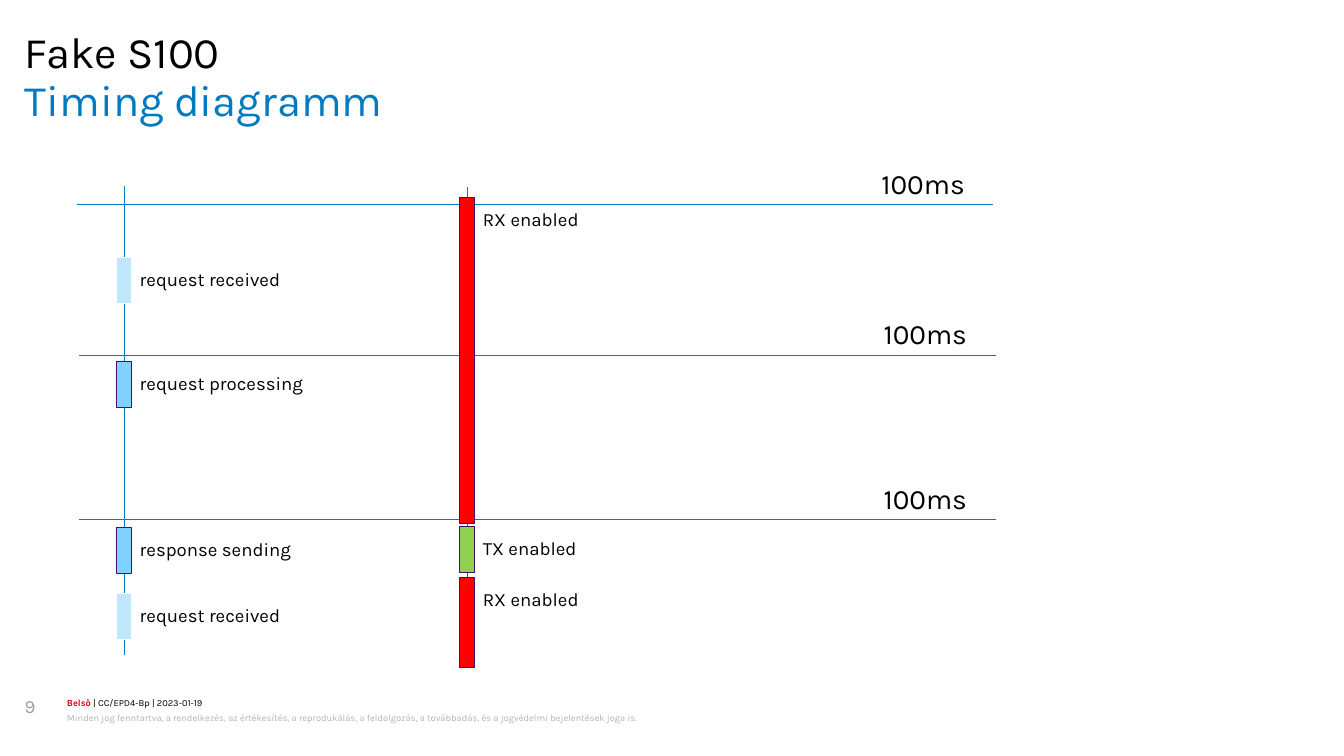
"""Build the slide with the request and RX/TX timing diagram."""
from lxml.etree import SubElement
from pptx import Presentation
from pptx.dml.color import RGBColor
from pptx.enum.shapes import MSO_CONNECTOR as Connector, MSO_SHAPE as Shape
from pptx.oxml.ns import qn
from pptx.util import Cm, Pt

FONT = "Karla"
BLACK, BLUE, WHITE, PURPLE = "000000", "007BC0", "FFFFFF", "3F136C"
PALE, SKY, RED, GREEN = "BFE8FF", "80D1FF", "FF0000", "92D050"
BAR_WIDTH, STEP_HEIGHT = 0.34, 1.04
DEVICE_X, RADIO_X = 2.82, 10.6

TIME_MARKS = [(1.75, 4.64), (1.8, 8.06), (1.8, 11.79)]
LIFELINES = [(DEVICE_X, 4.22), (RADIO_X, 4.24)]
PHASES = [
    (DEVICE_X, 5.84, STEP_HEIGHT, PALE, WHITE, "request received"),
    (DEVICE_X, 8.2, STEP_HEIGHT, SKY, PURPLE, "request processing"),
    (DEVICE_X, 11.96, STEP_HEIGHT, SKY, PURPLE, "response sending"),
    (DEVICE_X, 13.46, STEP_HEIGHT, PALE, WHITE, "request received"),
    (RADIO_X, 4.48, 7.39, RED, PURPLE, "RX enabled"),
    (RADIO_X, 11.94, STEP_HEIGHT, GREEN, PURPLE, "TX enabled"),
    (RADIO_X, 13.1, 2.04, RED, PURPLE, "RX enabled"),
]


def color(value):
    """Turn a hex string into a colour."""
    return RGBColor.from_string(value)


def add_text(slide, box, runs, size, wrap=True, spacing=None, before=None, after=None):
    """Add one paragraph made of (text, colour, bold) runs without insets."""
    frame = slide.shapes.add_textbox(*map(Cm, box)).text_frame
    frame.margin_left = frame.margin_right = frame.margin_top = frame.margin_bottom = 0
    frame.word_wrap = wrap
    paragraph = frame.paragraphs[0]
    paragraph.line_spacing = spacing
    paragraph.space_before, paragraph.space_after = before, after
    for words, tint, bold in runs:
        run = paragraph.add_run()
        run.text = words
        run.font.name, run.font.size, run.font.bold = FONT, Pt(size), bold
        run.font.color.rgb = color(tint)


def add_label(slide, box, words, size):
    """Add a black diagram label that does not wrap."""
    add_text(slide, box, [(words, BLACK, False)], size, wrap=False, before=Pt(5))


def add_line(slide, *ends):
    """Add a thin blue line between two points."""
    line = slide.shapes.add_connector(Connector.STRAIGHT, *map(Cm, ends))
    line.line.color.rgb = color(BLUE)
    line.line.width = Pt(0.5)
    SubElement(line._element.spPr, qn("a:effectLst"))


def add_time_mark(slide, left, y):
    """Add a horizontal time line with its duration."""
    add_line(slide, left, y, left + 20.78, y)
    add_label(slide, (left + 18.24, y - 0.87, 2.54, 0.94), "100ms", 18)


def add_phase(slide, center, top, height, fill, outline, words):
    """Add an activity bar on a lifeline with its label."""
    left = center - BAR_WIDTH / 2
    bar = slide.shapes.add_shape(Shape.RECTANGLE, *map(Cm, (left, top, BAR_WIDTH, height)))
    bar.shadow.inherit = False
    bar.fill.solid()
    bar.fill.fore_color.rgb = color(fill)
    bar.line.color.rgb = color(outline)
    bar.line.width = Pt(0.75)
    add_label(slide, (left + 0.52, top + 0.24, 6.25, 0.89), words, 12)


def add_headings(slide):
    """Add the topic and the title."""
    for top, words, tint in [(0.71, "Fake S100", BLACK), (1.8, "Timing diagramm", BLUE)]:
        add_text(slide, (0.56, top, 29.34, 1.09), [(words, tint, False)], 28, spacing=0.89)


def add_footer(slide):
    """Add the classification, the rights notice and the page number."""
    classification = [("Belső", "D70012", True), (" | CC/EPD4-Bp | 2023-01-19", BLACK, False)]
    rights = ("Minden jog fenntartva, a rendelkezés, az értékesítés, a reprodukálás, "
              "a feldolgozás, a továbbadás, és a jogvédelmi bejelentések joga is.")
    add_text(slide, (1.52, 15.8, 25.35, 0.3), classification, 6, spacing=1.07, after=Pt(1))
    add_text(slide, (1.52, 16.1, 25.35, 0.61), [(rights, "B2B3B5", False)], 6,
             spacing=1.2, after=Pt(1))
    add_text(slide, (0.56, 15.75, 0.81, 1.14), [("9", "999FA6", False)], 12)


def main():
    """Build and save the presentation."""
    deck = Presentation()
    deck.slide_width, deck.slide_height = Cm(30.48), Cm(17.145)
    slide = deck.slides.add_slide(deck.slide_layouts[6])
    add_footer(slide)
    add_headings(slide)
    for x, top in LIFELINES:
        add_line(slide, x, top, x, top + 10.64)
    for mark in TIME_MARKS:
        add_time_mark(slide, *mark)
    for phase in PHASES:
        add_phase(slide, *phase)
    deck.save("out.pptx")


if __name__ == "__main__":
    main()
